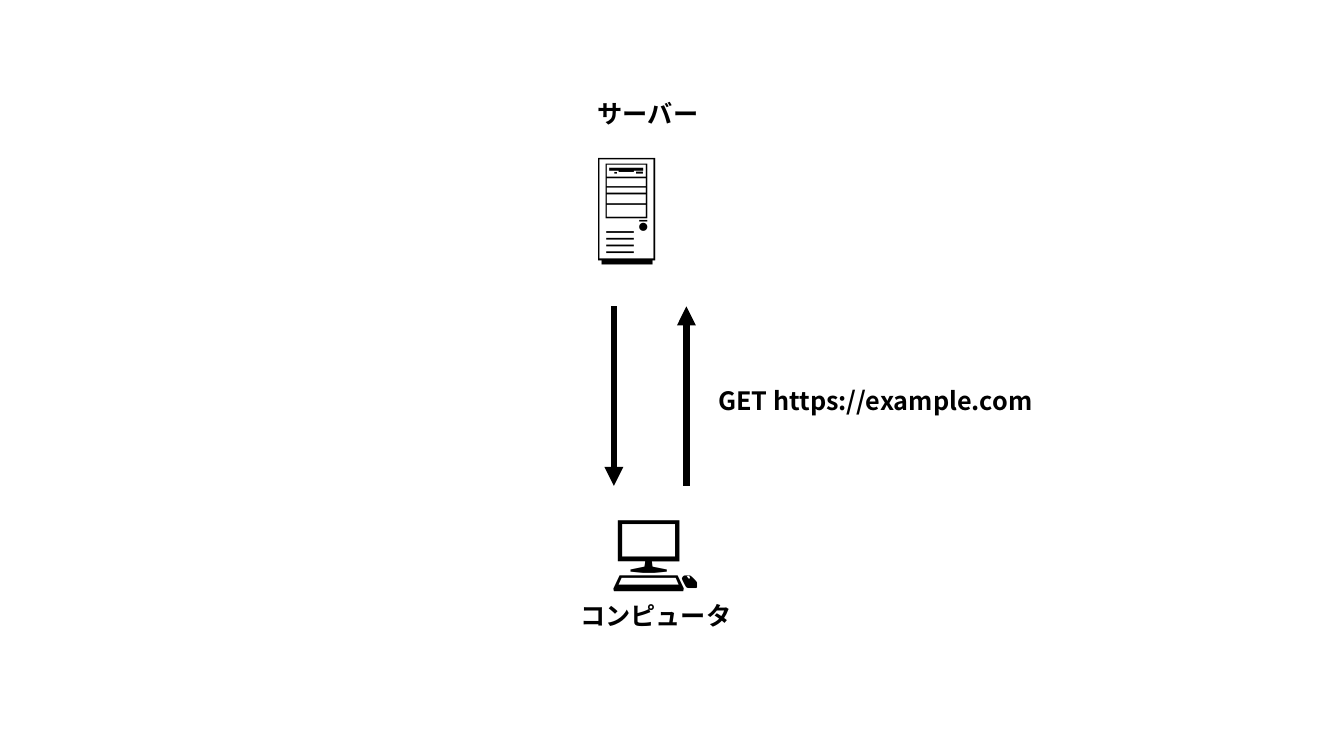
from lxml import etree
from pptx import Presentation
from pptx.dml.color import RGBColor
from pptx.enum import shapes, text
from pptx.oxml import ns
from pptx.util import Pt

INK = RGBColor(0, 0, 0)
FONT = "Noto Sans CJK JP"
LABEL_SIZE = 18
LABEL_HEIGHT = 29
LEFT, CENTER = text.PP_ALIGN.LEFT, text.PP_ALIGN.CENTER


def add_words(slide, words, box, size=LABEL_SIZE, bold=True, align=CENTER):
    frame = slide.shapes.add_textbox(*map(Pt, box)).text_frame
    frame.word_wrap = True
    frame.auto_size = text.MSO_AUTO_SIZE.SHAPE_TO_FIT_TEXT
    paragraph = frame.paragraphs[0]
    paragraph.alignment = align
    run = paragraph.add_run()
    run.text = words
    run.font.name = FONT
    run.font.size = Pt(size)
    run.font.bold = bold
    run.font.color.rgb = INK
    for script in ("a:ea", "a:cs"):
        etree.SubElement(run.font._element, ns.qn(script), typeface=FONT)


def add_arrow(slide, x, start, end):
    arrow = slide.shapes.add_connector(
        shapes.MSO_CONNECTOR.STRAIGHT, Pt(x), Pt(start), Pt(x), Pt(end))
    arrow.line.color.rgb = INK
    arrow.line.width = Pt(4.5)
    etree.SubElement(arrow.line._get_or_add_ln(), ns.qn("a:tailEnd"), type="triangle")
    etree.SubElement(arrow._element.spPr, ns.qn("a:effectLst"))


def add_server(slide, left, top, width):
    add_words(slide, "サーバー", (left, top, width, LABEL_HEIGHT))
    add_words(slide, "🖥", (left + 14.4, top + 23.7, 92.9, 104.4), 80, False, LEFT)


def add_exchange(slide, left, top, width, height):
    request_x = left + 51.8
    add_arrow(slide, left, top, top + height)
    add_arrow(slide, request_x, top + height, top)
    label_left = request_x + 15.8
    add_words(slide, "GET https://example.com",
              (label_left, top + 52.5, left + width - label_left, LABEL_HEIGHT), align=LEFT)


def add_computer(slide, left, top, width):
    add_words(slide, "💻", (left + 14.4, top, width - 28.8, 79.9), 60, False)
    add_words(slide, "コンピュータ", (left, top + 75.6, width, LABEL_HEIGHT))


def main():
    deck = Presentation()
    deck.slide_width, deck.slide_height = Pt(960), Pt(540)
    slide = deck.slides.add_slide(deck.slide_layouts[6])
    add_server(slide, 401, 67, 123.8)
    add_exchange(slide, 438.5, 218.9, 310.3, 128.2)
    add_computer(slide, 399.6, 349.9, 137.5)
    deck.save("out.pptx")


if __name__ == "__main__":
    main()
